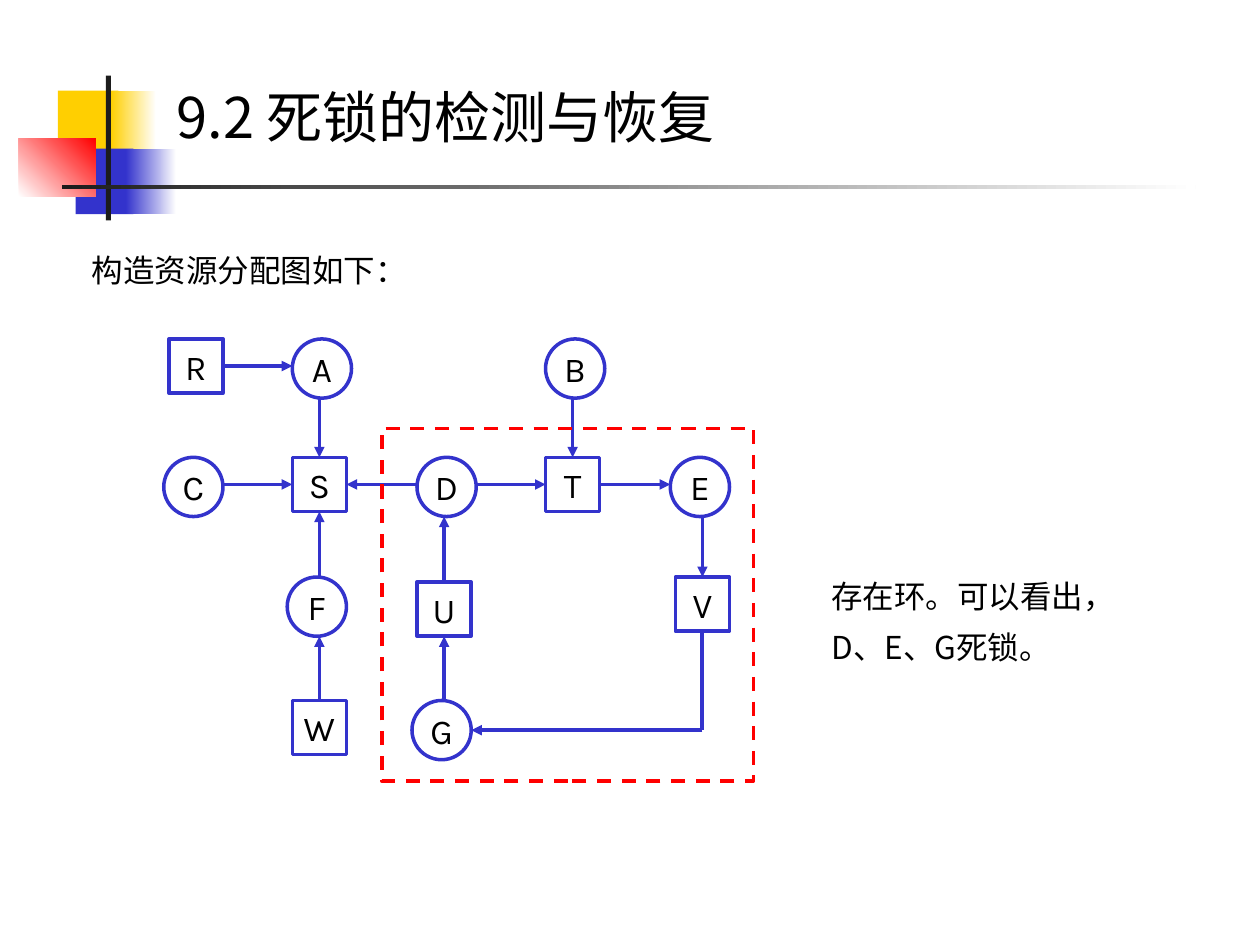
from lxml import etree
from pptx import Presentation
from pptx.dml.color import RGBColor
from pptx.enum.dml import MSO_LINE
from pptx.enum.shapes import MSO_CONNECTOR, MSO_SHAPE
from pptx.enum.text import MSO_ANCHOR, PP_ALIGN
from pptx.oxml.ns import qn
from pptx.util import Inches, Pt

YELLOW = RGBColor(0xFF, 0xCF, 0x01)
BLUE = RGBColor(0x33, 0x33, 0xCC)
RED = RGBColor(0xFF, 0x00, 0x00)
DARK = RGBColor(0x1C, 0x1C, 0x1C)
WHITE = RGBColor(0xFF, 0xFF, 0xFF)
BLACK = RGBColor(0x00, 0x00, 0x00)

HEADING = "9.2 死锁的检测与恢复"
INTRO = ["构造资源分配图如下："]
CONCLUSION = ["存在环。可以看出，", "D、E、G死锁。"]

ORNAMENTS = [
    ((0.46, 0.72, 0.48, 0.52), (YELLOW,), 0),
    ((0.88, 0.72, 0.36, 0.52), (YELLOW, WHITE), 0),
    ((0.6, 1.18, 0.46, 0.52), (BLUE,), 0),
    ((1, 1.18, 0.4, 0.52), (BLUE, WHITE), 0),
    ((0.15, 1.1, 0.61, 0.46), (WHITE, RED), 45),
    ((0.84, 0.6, 0.04, 1.15), (DARK,), 0),
    ((0.49, 1.47, 9, 0.03), (DARK, WHITE), 0),
]

RESOURCES = {
    "R": (1.34, 2.69), "S": (2.32, 3.63), "T": (4.33, 3.63),
    "W": (2.32, 5.56), "U": (3.31, 4.62), "V": (5.36, 4.58),
}
PROCESSES = {
    "A": (2.32, 2.69), "B": (4.33, 2.69), "C": (1.3, 3.63), "D": (3.31, 3.63),
    "E": (5.32, 3.63), "F": (2.28, 4.58), "G": (3.27, 5.56),
}
RESOURCE_SIZE = 0.43
PROCESS_SIZE = 0.47
TOP, LEFT, BOTTOM, RIGHT = range(4)
OPPOSITE = {TOP: BOTTOM, BOTTOM: TOP, LEFT: RIGHT, RIGHT: LEFT}
EDGES = [
    ("R", "A", RIGHT), ("C", "S", RIGHT), ("A", "S", BOTTOM), ("D", "T", RIGHT),
    ("T", "E", RIGHT), ("B", "T", BOTTOM), ("F", "S", TOP), ("W", "F", TOP),
    ("G", "U", TOP), ("U", "D", TOP), ("E", "V", BOTTOM), ("D", "S", LEFT),
]
DEADLOCK_FRAME = (3.03, 3.4, 2.95, 2.8)


def box(values):
    return [Inches(value) for value in values]


def set_font(paragraph, size, font):
    for run in paragraph.runs:
        run.font.size = Pt(size)
        run.font.name = font
        run.font.color.rgb = BLACK
        east_asian = etree.SubElement(run.font._element, qn("a:ea"))
        east_asian.set("typeface", font)


def add_ornament(slide, place, colours, angle):
    ornament = slide.shapes.add_shape(MSO_SHAPE.RECTANGLE, *box(place))
    ornament.shadow.inherit = False
    ornament.line.fill.background()
    if len(colours) == 1:
        ornament.fill.solid()
        ornament.fill.fore_color.rgb = colours[0]
    else:
        ornament.fill.gradient()
        ornament.fill.gradient_angle = angle
        for stop, colour in zip(ornament.fill.gradient_stops, colours):
            stop.color.rgb = colour


def add_outline(slide, preset, place, colour):
    outline = slide.shapes.add_shape(preset, *box(place))
    outline.shadow.inherit = False
    outline.fill.background()
    outline.line.color.rgb = colour
    outline.line.width = Pt(2)
    return outline


def add_node(slide, preset, label, position, size):
    node = add_outline(slide, preset, (*position, size, size), BLUE)
    frame = node.text_frame
    frame.text = label
    frame.word_wrap = False
    frame.vertical_anchor = MSO_ANCHOR.MIDDLE
    frame.paragraphs[0].alignment = PP_ALIGN.CENTER
    set_font(frame.paragraphs[0], 20, "Karla")
    return node


def add_text(slide, place, lines, anchor):
    frame = slide.shapes.add_textbox(*box(place)).text_frame
    frame.word_wrap = True
    frame.vertical_anchor = anchor
    frame.text = "\n".join(lines)
    for index, paragraph in enumerate(frame.paragraphs):
        paragraph.space_before = Pt(7 if index else 0)
        set_font(paragraph, 18, "Noto Sans CJK SC")


def side_point(node, side):
    x = {LEFT: node.left, RIGHT: node.left + node.width}
    y = {TOP: node.top, BOTTOM: node.top + node.height}
    return (x.get(side, node.left + node.width // 2),
            y.get(side, node.top + node.height // 2))


def add_line(slide, start, end, arrow=True, width=2):
    line = slide.shapes.add_connector(MSO_CONNECTOR.STRAIGHT, *start, *end)
    line.line.color.rgb = BLUE
    line.line.width = Pt(width)
    if arrow:
        tail = etree.SubElement(line.line._get_or_add_ln(), qn("a:tailEnd"))
        tail.set("type", "triangle")
    etree.SubElement(line._element.spPr, qn("a:effectLst"))
    return line


def add_edge(slide, nodes, source, target, side):
    start = side_point(nodes[source], side)
    end = side_point(nodes[target], OPPOSITE[side])
    axis = 0 if side in (TOP, BOTTOM) else 1
    middle = (start if source in RESOURCES else end)[axis]
    if axis == 0:
        start, end = (middle, start[1]), (middle, end[1])
    else:
        start, end = (start[0], middle), (end[0], middle)
    edge = add_line(slide, start, end)
    if source in RESOURCES:
        edge.begin_connect(nodes[source], side)
    else:
        edge.end_connect(nodes[target], OPPOSITE[side])


def main():
    deck = Presentation()
    deck.slide_width, deck.slide_height = Inches(10), Inches(7.5)
    slide = deck.slides.add_slide(deck.slide_layouts[5])

    for ornament in ORNAMENTS:
        add_ornament(slide, *ornament)

    title = slide.shapes.title
    title.left, title.top, title.width, title.height = box((1.3, 0.6, 8.7, 0.64))
    title.text_frame.text = HEADING
    title.text_frame.vertical_anchor = MSO_ANCHOR.MIDDLE
    title.text_frame.paragraphs[0].alignment = PP_ALIGN.LEFT
    set_font(title.text_frame.paragraphs[0], 32, "Noto Sans CJK JP")

    add_text(slide, (0.63, 1.94, 8.58, 0.67), INTRO, MSO_ANCHOR.TOP)

    nodes = {}
    for group, preset, size in (
        (RESOURCES, MSO_SHAPE.RECTANGLE, RESOURCE_SIZE),
        (PROCESSES, MSO_SHAPE.OVAL, PROCESS_SIZE),
    ):
        for label, position in group.items():
            nodes[label] = add_node(slide, preset, label, position, size)

    for edge in EDGES:
        add_edge(slide, nodes, *edge)

    v_bottom = side_point(nodes["V"], BOTTOM)
    g_right = side_point(nodes["G"], RIGHT)
    corner = (v_bottom[0], g_right[1])
    add_line(slide, v_bottom, corner, False, 2.25).begin_connect(nodes["V"], BOTTOM)
    add_line(slide, corner, g_right)

    frame = add_outline(slide, MSO_SHAPE.RECTANGLE, DEADLOCK_FRAME, RED)
    frame.line.dash_style = MSO_LINE.DASH

    add_text(slide, (6.5, 4.47, 3.31, 0.86), CONCLUSION, MSO_ANCHOR.BOTTOM)
    deck.save("out.pptx")


if __name__ == "__main__":
    main()
